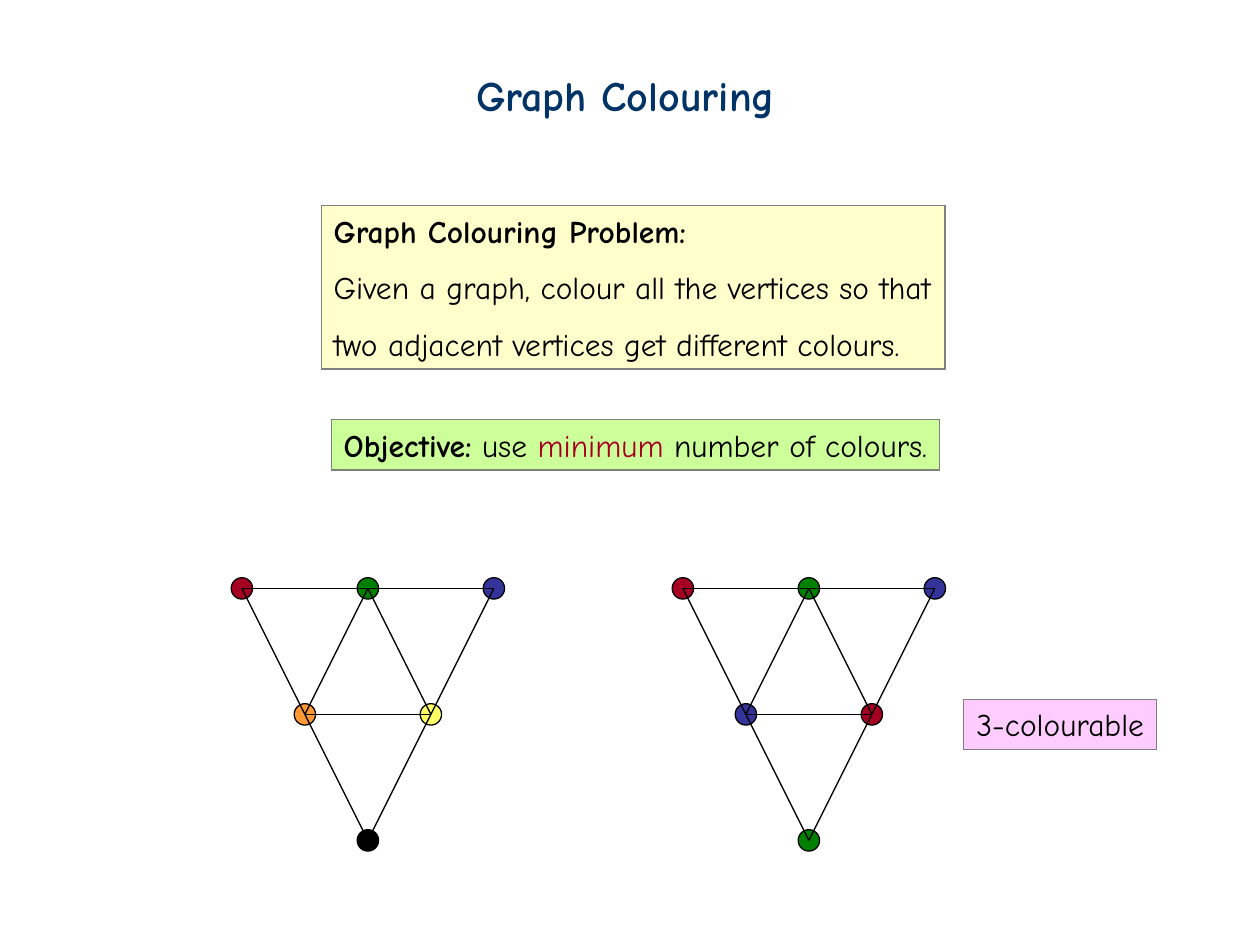
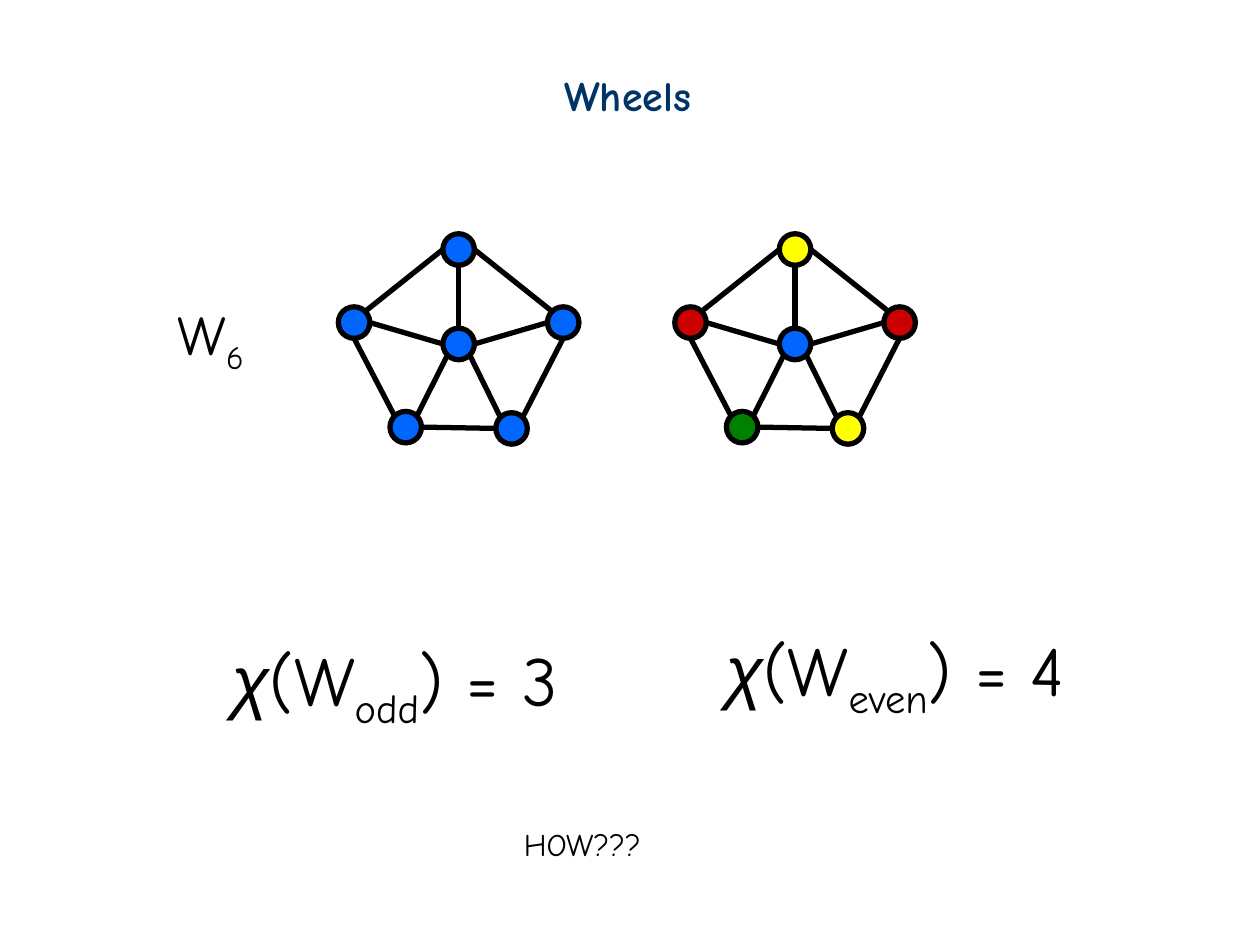
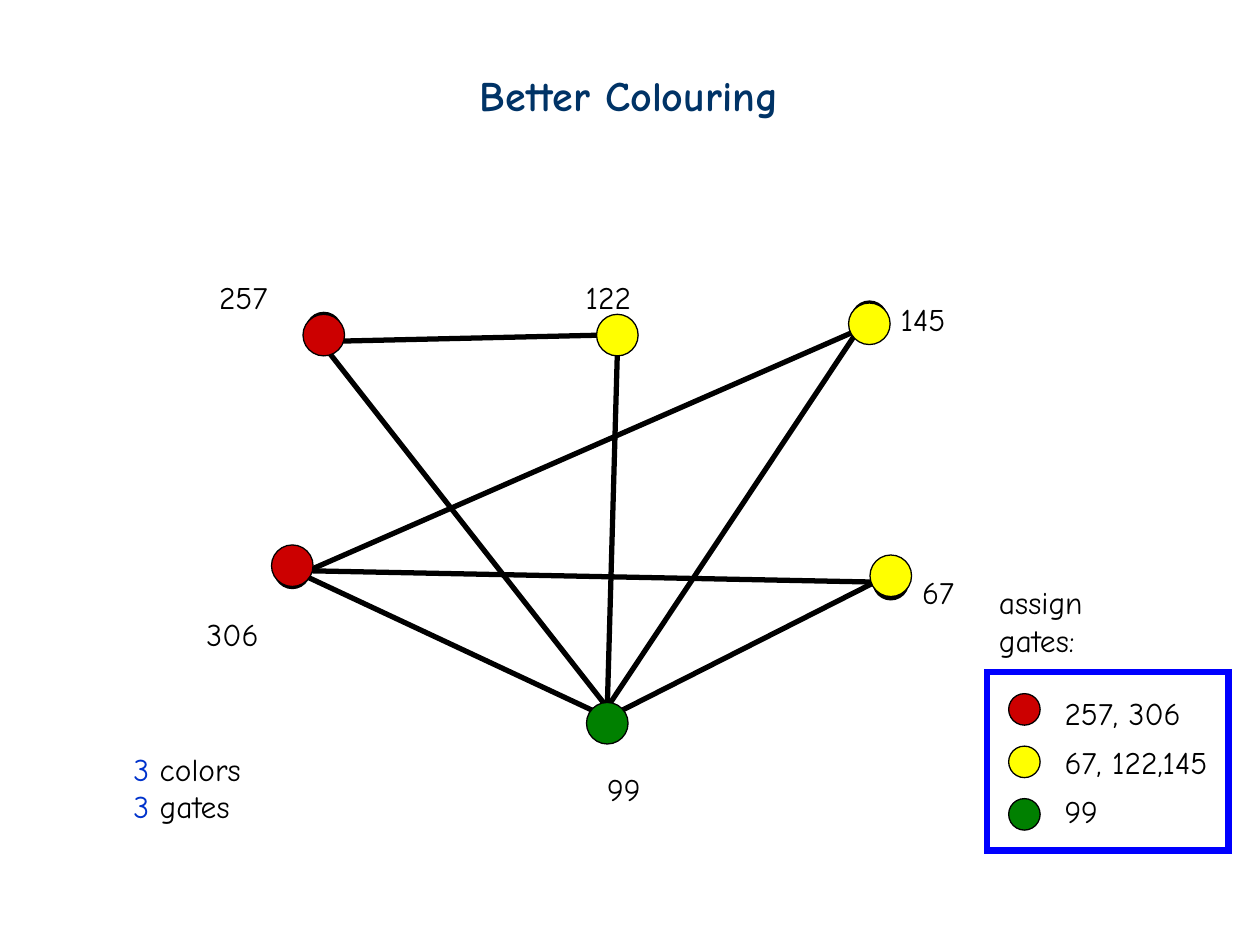
import math

import pptx
import pptx.dml.color
import pptx.enum.shapes
import pptx.enum.text
import pptx.util
from lxml import etree

RGB = pptx.dml.color.RGBColor
SHAPE = pptx.enum.shapes.MSO_SHAPE

# Shared style
FONT, GREEK_FONT = "Comic Neue", "Arial"
NAVY = RGB(0x00, 0x33, 0x66)
BLACK = RGB(0x00, 0x00, 0x00)
GREY = RGB(0x80, 0x80, 0x80)
CREAM = RGB(0xFF, 0xFF, 0xCC)
LIME = RGB(0xCC, 0xFF, 0x99)
PINK = RGB(0xFF, 0xCC, 0xFF)
CRIMSON = RGB(0xA5, 0x00, 0x21)
GREEN = RGB(0x00, 0x80, 0x00)
INDIGO = RGB(0x33, 0x33, 0x99)
ORANGE = RGB(0xFF, 0x99, 0x33)
LEMON = RGB(0xFF, 0xFF, 0x66)
RED = RGB(0xCC, 0x00, 0x00)
YELLOW = RGB(0xFF, 0xFF, 0x00)
BLUE = RGB(0x00, 0x66, 0xFF)
FRAME_BLUE = RGB(0x00, 0x00, 0xFF)
COUNT_BLUE = RGB(0x00, 0x33, 0xCC)
THIN, THICK = 0.75, 3
DOT = 0.25

# The slide is a grid of 10 columns by 7.5 rows of square cells
COLS, ROWS = 10, 7.5
CELL = pptx.util.Inches(1)

# Slide 1: paragraphs are lists of runs, a run is text or (text, format)
BOLD = {"bold": True}
PROBLEM = [
    [("Graph Colouring Problem:", BOLD)],
    ["Given a graph, colour all the vertices so that"],
    ["two adjacent vertices get different colours."],
]
OBJECTIVE = [[("Objective:", BOLD), " use ", ("minimum", {"color": CRIMSON}),
              " number of colours."]]
TRIANGLE_NODES = [(0, 0), (1, 0), (2, 0), (0.5, 1), (1.5, 1), (1, 2)]
TRIANGLE_EDGES = [(0, 5), (0, 2), (2, 5), (1, 3), (3, 4), (1, 4)]
TRIANGLES = [  # left corner, colours in node order
    ((1.92, 4.67), [CRIMSON, GREEN, INDIGO, ORANGE, LEMON, BLACK]),
    ((5.42, 4.67), [CRIMSON, GREEN, INDIGO, INDIGO, CRIMSON, GREEN]),
]

# Slide 2: nodes relative to the hub; edges join compass points of two nodes
WHEEL_NODES = {
    "hub": (0, 0), "top": (0, -0.75), "right": (0.83, -0.17),
    "low right": (0.42, 0.67), "low left": (-0.42, 0.66), "left": (-0.83, -0.17),
}
WHEEL_EDGES = [
    ("low left", "E", "low right", "W"), ("top", "E", "right", "NW"),
    ("right", "S", "low right", "NE"), ("top", "W", "left", "NE"),
    ("left", "S", "low left", "NW"), ("top", "S", "hub", "N"),
    ("hub", "E", "right", "W"), ("hub", "SE", "low right", "NW"),
    ("hub", "SW", "low left", "NE"), ("hub", "W", "left", "E"),
]
WHEELS = [  # hub centre, colours in node order
    ((3.64, 2.73), [BLUE] * 6),
    ((6.31, 2.73), [BLUE, YELLOW, RED, YELLOW, GREEN, RED]),
]
SUB = {"sub": True}
CHI = ("χ", {"font": GREEK_FONT, "italic": True})
FORMULAS = [  # box, text, size
    ((1.31, 2.33, 0.74, 0.71), ["W", ("6", SUB)], 32),
    ((1.74, 5, 2.81, 0.86), [CHI, "(W", ("odd", SUB), ") = 3"], 40),
    ((5.66, 4.92, 2.92, 0.86), [CHI, "(W", ("even", SUB), ") = 4"], 40),
    ((4.06, 6.5, 1.15, 0.4), ["HOW???"], 18),
]

# Slide 3: flight -> disc centre, colour, vertical shift of its ring, label box
FLIGHTS = {
    "257": ((2.57, 2.66), RED, -0.04, (1.64, 2.16, 0.6)),
    "122": ((4.9, 2.66), YELLOW, 0, (4.55, 2.16, 0.58)),
    "145": ((6.9, 2.57), YELLOW, -0.04, (7.05, 2.33, 0.57)),
    "306": ((2.32, 4.49), RED, 0.04, (1.54, 4.83, 0.63)),
    "67": ((7.07, 4.57), YELLOW, 0.05, (7.22, 4.5, 0.47)),
    "99": ((4.82, 5.74), GREEN, 0, (4.72, 6.06, 0.48)),
}
CONFLICTS = [
    ("306", "E", "145", "SW"), ("306", "E", "67", "W"),
    ("257", "SE", "122", "W"), ("257", "S", "99", "N"),
    ("99", "N", "122", "S"), ("99", "N", "145", "SW"),
    ("99", "NE", "67", "W"), ("306", "ESE", "99", "NW"),
]
COUNTS = [[("3 ", {"color": COUNT_BLUE}), word] for word in ("colors", "gates")]
GATES = [(RED, "257, 306"), (YELLOW, "67, 122,145"), (GREEN, "99")]

COMPASS = {"E": 0, "ESE": 22.5, "SE": 45, "S": 90, "SW": 135, "W": 180,
           "NW": 225, "N": 270, "NE": 315}


def cells(*values):
    return [round(v * CELL) for v in values]


def add_shape(s, kind, box, fill=None, line=BLACK, width=THIN):
    sp = s.shapes.add_shape(kind, *cells(*box))
    sp.shadow.inherit = False
    if fill is None:
        sp.fill.background()
    else:
        sp.fill.solid()
        sp.fill.fore_color.rgb = fill
    sp.line.color.rgb = line
    sp.line.width = pptx.util.Pt(width)
    # Square corners on outlines
    ln = sp._element.spPr.find(pptx.oxml.ns.qn("a:ln"))
    etree.SubElement(ln, pptx.oxml.ns.qn("a:miter"), lim="800000")
    return sp


def add_dot(s, centre, size, fill, width=THIN):
    x, y = centre
    add_shape(s, SHAPE.OVAL, (x - size / 2, y - size / 2, size, size), fill, width=width)


def add_line(s, start, end, width=THIN):
    c = s.shapes.add_connector(pptx.enum.shapes.MSO_CONNECTOR.STRAIGHT,
                               *cells(*start, *end))
    c.line.color.rgb = BLACK
    c.line.width = pptx.util.Pt(width)
    etree.SubElement(c._element.spPr, pptx.oxml.ns.qn("a:effectLst"))


def add_text(s, box, paragraphs, size=18, color=BLACK, bold=False, fill=None,
             spacing=None, wrap=False):
    """Spacing applies to every paragraph after the first."""
    if fill is None:
        sp = s.shapes.add_textbox(*cells(*box))
    else:
        sp = add_shape(s, SHAPE.RECTANGLE, box, fill, GREY)
    tf = sp.text_frame
    tf.word_wrap = wrap
    tf.auto_size = pptx.enum.text.MSO_AUTO_SIZE.SHAPE_TO_FIT_TEXT
    tf.vertical_anchor = pptx.enum.text.MSO_ANCHOR.TOP
    for i, runs in enumerate(paragraphs):
        p = tf.add_paragraph() if i else tf.paragraphs[0]
        p.alignment = pptx.enum.text.PP_ALIGN.LEFT
        if i and spacing:
            p.line_spacing = spacing
        for run in runs:
            text, fmt = (run, {}) if isinstance(run, str) else run
            r = p.add_run()
            r.text = text
            r.font.name = fmt.get("font", FONT)
            r.font.size = pptx.util.Pt(size)
            r.font.color.rgb = fmt.get("color", color)
            r.font.bold = fmt.get("bold", bold)
            r.font.italic = fmt.get("italic", False)
            if fmt.get("sub"):
                r._r.get_or_add_rPr().set("baseline", "-25000")


def add_title_slide(prs, title, left, width):
    s = prs.slides.add_slide(prs.slide_layouts[6])
    add_text(s, (left, 0.5, width, 0.5), [[title]], size=24, color=NAVY, bold=True)
    return s


def rim_point(centre, direction):
    angle = math.radians(COMPASS[direction])
    return (centre[0] + DOT / 2 * math.cos(angle),
            centre[1] + DOT / 2 * math.sin(angle))


def add_rim_edges(s, nodes, edges):
    for a, a_side, b, b_side in edges:
        add_line(s, rim_point(nodes[a], a_side), rim_point(nodes[b], b_side), THICK)


def shifted(origin, offset):
    return origin[0] + offset[0], origin[1] + offset[1]


def build_colouring(prs):
    s = add_title_slide(prs, "Graph Colouring", 3.68, 2.6)
    add_text(s, (2.55, 1.63, 4.95, 1.3), PROBLEM, fill=CREAM, spacing=1.5)
    add_text(s, (2.63, 3.33, 4.83, 0.4), OBJECTIVE, fill=LIME)
    for corner, colours in TRIANGLES:
        nodes = [shifted(corner, offset) for offset in TRIANGLE_NODES]
        for node, colour in zip(nodes, colours):
            add_dot(s, node, 0.17, colour)
        for a, b in TRIANGLE_EDGES:
            add_line(s, nodes[a], nodes[b])
    add_text(s, (7.65, 5.55, 1.53, 0.4), [["3-colourable"]], fill=PINK)


def build_wheels(prs):
    s = add_title_slide(prs, "Wheels", 4.38, 1.22)
    for hub, colours in WHEELS:
        nodes = {name: shifted(hub, offset) for name, offset in WHEEL_NODES.items()}
        for node, colour in zip(nodes.values(), colours):
            add_dot(s, node, DOT, colour, THICK)
        add_rim_edges(s, nodes, WHEEL_EDGES)
    for box, runs, size in FORMULAS:
        add_text(s, box, [runs], size=size)


def build_gates(prs):
    s = add_title_slide(prs, "Better Colouring", 3.71, 2.6)
    add_text(s, (0.96, 5.9, 1.07, 0.7), COUNTS)

    # Conflict graph: rings that peek out, edges, then coloured discs
    rings = {}
    for flight, (centre, _, shift, label) in FLIGHTS.items():
        add_text(s, (*label, 0.4), [[flight]])
        rings[flight] = shifted(centre, (0, shift))
        if shift:
            add_dot(s, rings[flight], DOT, BLUE, THICK)
    add_rim_edges(s, rings, CONFLICTS)
    for centre, colour, _, _ in FLIGHTS.values():
        add_dot(s, centre, 0.33, colour)

    # Gate legend
    for row, (colour, _) in enumerate(GATES):
        add_dot(s, (8.13, 5.63 + row * 5 / 12), DOT, colour)
    add_text(s, (8.35, 5.46, 1.35, 1.18), [[flights] for _, flights in GATES],
             spacing=1.3)
    add_shape(s, SHAPE.RECTANGLE, (7.83, 5.33, 1.92, 1.42), line=FRAME_BLUE, width=3.5)
    add_text(s, (7.83, 4.58, 1.72, 0.7), [["assign"], ["gates:"]], wrap=True)


def main():
    prs = pptx.Presentation()
    prs.slide_width, prs.slide_height = cells(COLS, ROWS)
    build_colouring(prs)
    build_wheels(prs)
    build_gates(prs)
    prs.save("out.pptx")


if __name__ == "__main__":
    main()
